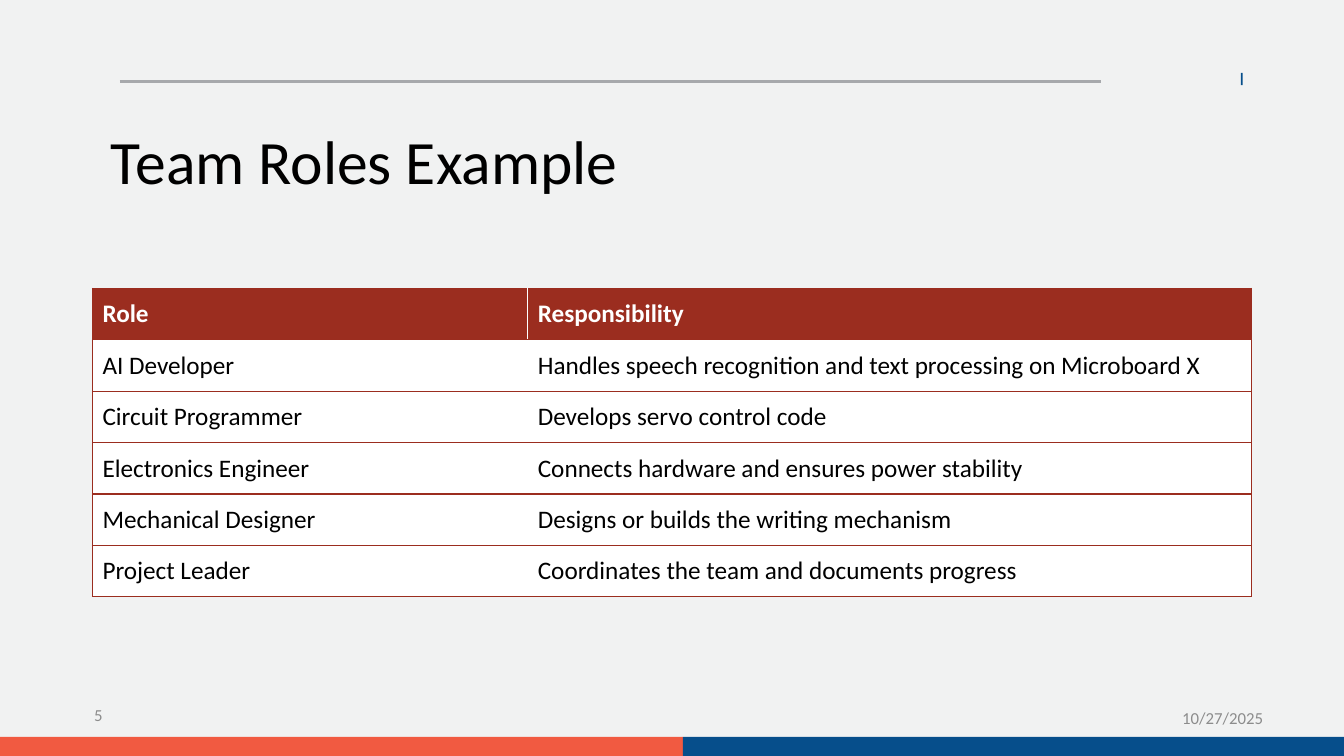
from collections import namedtuple

from lxml.etree import SubElement
from pptx import Presentation
from pptx.dml.color import RGBColor
from pptx.enum.shapes import MSO_CONNECTOR, MSO_SHAPE
from pptx.enum.text import MSO_ANCHOR, MSO_AUTO_SIZE, PP_ALIGN
from pptx.oxml.ns import qn
from pptx.util import Cm, Pt

Box = namedtuple("Box", "left top width height")

FONT = "Calibri"
COLOURS = {
    "background": "F1F2F2",
    "blue": "064E8B",
    "orange": "F15A41",
    "rule": "A7A9AC",
    "muted": "8C8C8C",
    "brick": "9B2D1F",
    "white": "FFFFFF",
    "black": "000000",
}
ROLES = [
    ("Role", "Responsibility"),
    ("AI Developer", "Handles speech recognition and text processing on Microboard X"),
    ("Circuit Programmer", "Develops servo control code"),
    ("Electronics Engineer", "Connects hardware and ensures power stability"),
    ("Mechanical Designer", "Designs or builds the writing mechanism"),
    ("Project Leader", "Coordinates the team and documents progress"),
]


def colour(name):
    """Return the named palette colour."""
    return RGBColor.from_string(COLOURS[name])


def lengths(box):
    """Convert a box in centimetres to slide lengths."""
    return [Cm(value) for value in box]


def style(paragraph, size, name, bold=False):
    """Format a whole paragraph."""
    font = paragraph.font
    font.name, font.size, font.bold = FONT, Pt(size), bold
    font.color.rgb = colour(name)


def add_bar(page, box, name):
    """Add a plain filled rectangle."""
    bar = page.shapes.add_shape(MSO_SHAPE.RECTANGLE, *lengths(box))
    bar.shadow.inherit = False
    bar.fill.solid()
    bar.fill.fore_color.rgb = colour(name)
    bar.line.fill.background()


def add_header(page, box):
    """Draw the grey rule and the blue tick at the ends of the box."""
    rule_top = Cm(box.top + 0.22)
    rule = page.shapes.add_connector(
        MSO_CONNECTOR.STRAIGHT, Cm(box.left), rule_top, Cm(box.left + 24.72), rule_top
    )
    rule.line.color.rgb = colour("rule")
    rule.line.width = Pt(2.25)
    SubElement(rule._element.spPr, qn("a:effectLst"))
    tick_width = 0.05
    tick_left = box.left + box.width - tick_width
    add_bar(page, Box(tick_left, box.top, tick_width, box.height), "blue")


def add_title(page, box, text):
    """Place the title placeholder in the box."""
    title = page.shapes.title
    title.left, title.top, title.width, title.height = lengths(box)
    frame = title.text_frame
    frame.text = text
    frame.auto_size = MSO_AUTO_SIZE.NONE
    frame.vertical_anchor = MSO_ANCHOR.TOP
    para = frame.paragraphs[0]
    para.alignment = PP_ALIGN.LEFT
    para.line_spacing = 0.9
    style(para, 44, "black")


def add_border(cell, side):
    """Draw a brick border on one side of a cell."""
    line = SubElement(cell._tc.get_or_add_tcPr(), qn(f"a:{side}"), w=str(Pt(1)))
    fill = SubElement(line, qn("a:solidFill"))
    SubElement(fill, qn("a:srgbClr"), val=COLOURS["brick"])


def add_roles_table(page, box, rows):
    """Fill the box with the table of roles."""
    table = page.shapes.add_table(len(rows), 2, *lengths(box)).table
    role_width = 10.97
    table.columns[0].width = Cm(role_width)
    table.columns[1].width = Cm(box.width - role_width)
    for row_index, texts in enumerate(rows):
        table.rows[row_index].height = Cm(box.height / len(rows))
        header = row_index == 0
        for column_index, text in enumerate(texts):
            cell = table.cell(row_index, column_index)
            cell.text = text
            cell.vertical_anchor = MSO_ANCHOR.MIDDLE
            style(cell.text_frame.paragraphs[0], 18, "white" if header else "black", header)
            for side in ("lnR" if column_index else "lnL", "lnT", "lnB"):
                add_border(cell, side)
            cell.fill.solid()
            cell.fill.fore_color.rgb = colour("brick" if header else "white")


def add_small_text(page, box, text, alignment):
    """Add a muted footer text."""
    frame = page.shapes.add_textbox(*lengths(box)).text_frame
    frame.word_wrap = True
    frame.vertical_anchor = MSO_ANCHOR.MIDDLE
    frame.text = text
    para = frame.paragraphs[0]
    para.alignment = alignment
    style(para, 12, "muted")


def add_footer(page, box, number, date):
    """Place the page number, the date and the two-colour band."""
    band_height = 0.48
    band_top = box.top + box.height - band_height
    split = 17.21
    add_small_text(page, Box(box.left, box.top, 2.84, 1.09), number, PP_ALIGN.RIGHT)
    add_small_text(page, Box(box.left + 29.54, box.top + 0.05, 3.02, 1.12), date, PP_ALIGN.LEFT)
    add_bar(page, Box(box.left, band_top, split, band_height), "orange")
    add_bar(page, Box(box.left + split, band_top, box.width - split, band_height), "blue")


def main():
    """Build the team roles slide."""
    deck = Presentation()
    deck.slide_width, deck.slide_height = Cm(33.87), Cm(19.05)
    page = deck.slides.add_slide(deck.slide_layouts[5])
    page.background.fill.solid()
    page.background.fill.fore_color.rgb = colour("background")
    add_header(page, Box(3.02, 1.84, 28.3, 0.31))
    add_title(page, Box(2.54, 3.18, 29.21, 3.68), "Team Roles Example")
    add_roles_table(page, Box(2.33, 7.27, 29.21, 7.77), ROLES)
    add_footer(page, Box(0, 17.48, 33.87, 1.57), "5", "10/27/2025")
    deck.save("out.pptx")


if __name__ == "__main__":
    main()
